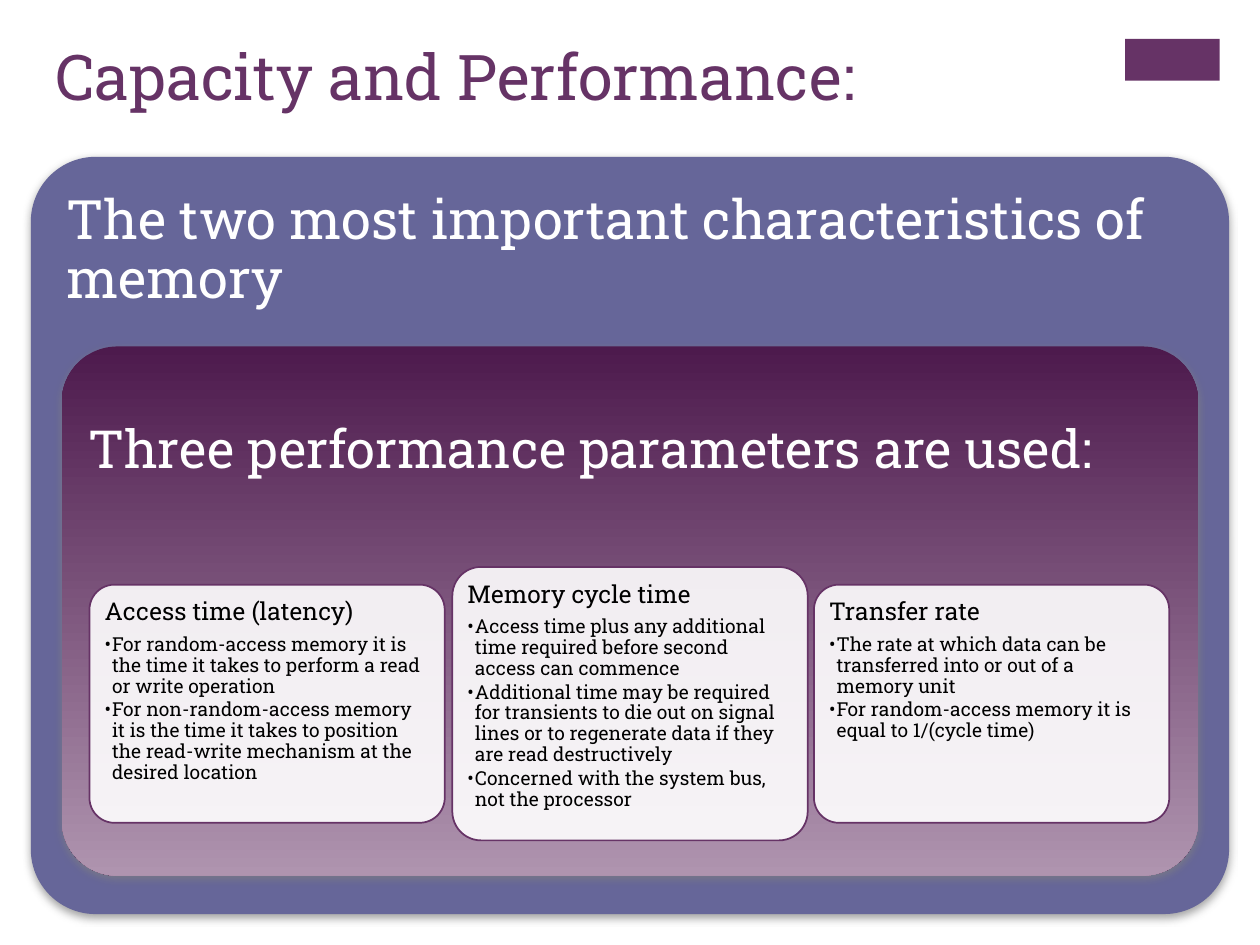
from lxml import etree
from pptx import Presentation
from pptx.dml.color import RGBColor
from pptx.enum.shapes import MSO_SHAPE as Shape
from pptx.enum.text import MSO_ANCHOR as Anchor, MSO_AUTO_SIZE as AutoSize
from pptx.oxml.ns import qn
from pptx.util import Inches, Pt

PLUM = RGBColor(0x66, 0x33, 0x66)
DARK_PLUM = RGBColor(0x4D, 0x1A, 0x4D)
PALE_PLUM = RGBColor(0xAF, 0x94, 0xAF)
SLATE = RGBColor(0x66, 0x66, 0x99)
GRAY = RGBColor(0x80, 0x80, 0x80)
WHITE = RGBColor(0xFF, 0xFF, 0xFF)
BLACK = RGBColor(0x00, 0x00, 0x00)
FONT = "Roboto Slab"

CARDS = [
    (0.71, 4.64, 1.89, "Access time (latency)", [
        "For random-access memory it is the time it takes to perform a read or write operation",
        "For non-random-access memory it is the time it takes to position the "
        "read-write mechanism at the desired location",
    ]),
    (3.59, 4.5, 2.17, "Memory cycle time", [
        "Access time plus any additional time required before second access can commence",
        "Additional time may be required for transients to die out on signal lines "
        "or to regenerate data if they are read destructively",
        "Concerned with the system bus, not the processor",
    ]),
    (6.46, 4.64, 1.89, "Transfer rate", [
        "The rate at which data can be transferred into or out of a memory unit",
        "For random-access memory it is equal to 1/(cycle time)",
    ]),
]
CARD_WIDTH = 2.82
CARD_PAD = 0.06


def add_color_alpha(color, percent):
    etree.SubElement(color, qn("a:alpha"), val=str(percent * 1000))


def add_shadow(sp):
    effects = sp._element.spPr.find(qn("a:effectLst"))
    shadow = etree.SubElement(effects, qn("a:outerShdw"), blurRad=str(Pt(5)),
                              dist=str(Pt(2)), dir="5400000", rotWithShape="0")
    add_color_alpha(etree.SubElement(shadow, qn("a:srgbClr"), val=str(GRAY)), 75)


def add_panel(slide, box, kind=Shape.ROUNDED_RECTANGLE, radius=None, fill=None,
              gradient=None, alpha=None, line=None, line_width=1, shadow=False):
    sp = slide.shapes.add_shape(kind, *map(Inches, box))
    sp.shadow.inherit = False
    if radius is not None:
        sp.adjustments[0] = radius
    if gradient:
        sp.fill.gradient()
        sp.fill.gradient_angle = 270
        for stop, color in zip(sp.fill.gradient_stops, gradient):
            stop.color.rgb = color
    else:
        sp.fill.solid()
        sp.fill.fore_color.rgb = fill
    if alpha is not None:
        color = sp._element.spPr.find(qn("a:solidFill")).find(qn("a:srgbClr"))
        add_color_alpha(color, alpha)
    if line is None:
        sp.line.fill.background()
    else:
        sp.line.color.rgb = line
        sp.line.width = Pt(line_width)
    if shadow:
        add_shadow(sp)


def add_text_frame(slide, box, insets):
    tf = slide.shapes.add_textbox(*map(Inches, box)).text_frame
    tf.word_wrap = True
    tf.auto_size = AutoSize.NONE
    tf.vertical_anchor = Anchor.TOP
    tf.margin_left, tf.margin_top, tf.margin_right, tf.margin_bottom = map(Inches, insets)
    return tf


def write(tf, text, size, color, spacing=0.9, after=0, bullet=False):
    p = tf.add_paragraph() if tf.text else tf.paragraphs[0]
    p.line_spacing = spacing
    p.space_after = Pt(after)
    if bullet:
        p.level = 1
        pPr = p._p.get_or_add_pPr()
        pPr.set("marL", str(Inches(0.06)))
        pPr.set("indent", str(Inches(-0.06)))
        etree.SubElement(pPr, qn("a:buFont"), typeface=FONT)
        etree.SubElement(pPr, qn("a:buChar"), char="•")
    r = p.add_run()
    r.text = text
    r.font.name = FONT
    r.font.size = Pt(size)
    r.font.color.rgb = color


def add_card(slide, left, top, height, heading, points):
    add_panel(slide, (left, top, CARD_WIDTH, height), radius=0.105, fill=WHITE,
              alpha=90, line=PLUM)
    box = (left + CARD_PAD, top + CARD_PAD, CARD_WIDTH - 2 * CARD_PAD, height - 2 * CARD_PAD)
    tf = add_text_frame(slide, box, [CARD_PAD] * 4)
    write(tf, heading, 14, BLACK, after=5)
    for point in points:
        write(tf, point, 11, BLACK, after=1.65, bullet=True)


def main():
    prs = Presentation()
    prs.slide_width, prs.slide_height = Inches(10), Inches(7.5)
    slide = prs.slides.add_slide(prs.slide_layouts[6])

    add_panel(slide, (8.93, 0.31, 0.75, 0.33), kind=Shape.RECTANGLE, fill=PLUM)
    title = add_text_frame(slide, (0.33, 0.25, 8.26, 1.22), (0.11, 0.05, 0.1, 0.05))
    write(title, "Capacity and Performance:", 36, PLUM, spacing=1.0)

    add_panel(slide, (0.25, 1.25, 9.5, 6), radius=0.085, fill=SLATE, line=SLATE,
              line_width=0.75, shadow=True)
    outer = add_text_frame(slide, (0.4, 1.4, 9.2, 5.7), (0.13, 0.13, 0.13, 4.5))
    write(outer, "The two most important characteristics of memory", 31, WHITE)

    add_panel(slide, (0.49, 2.75, 9.02, 4.2), radius=0.105,
              gradient=(DARK_PLUM, PALE_PLUM), shadow=True)
    inner = add_text_frame(slide, (0.62, 2.88, 8.77, 3.94), (0.08, 0.48, 0.08, 2.67))
    write(inner, "Three performance parameters are used:", 30, WHITE)

    for card in CARDS:
        add_card(slide, *card)

    prs.save("out.pptx")


if __name__ == "__main__":
    main()
